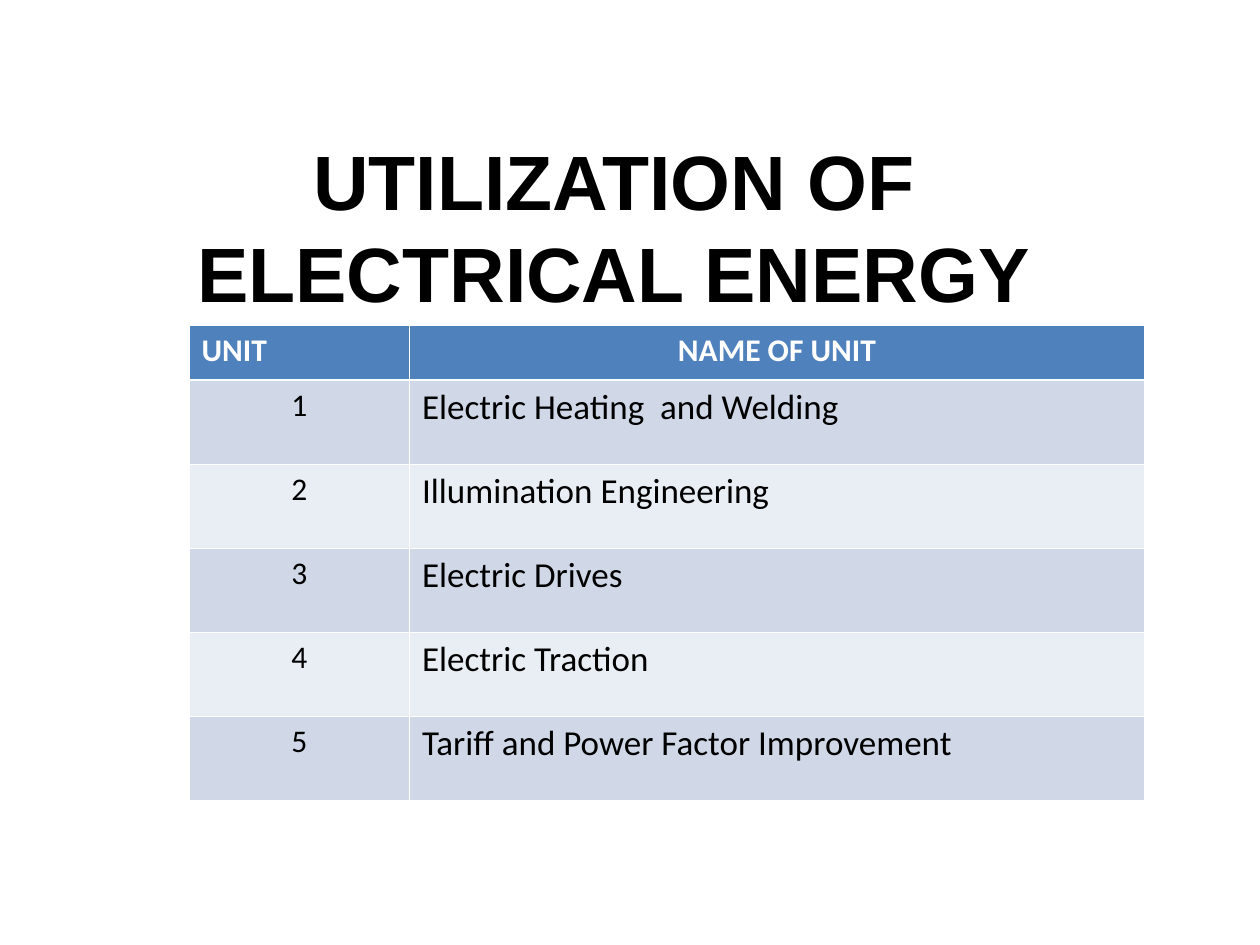
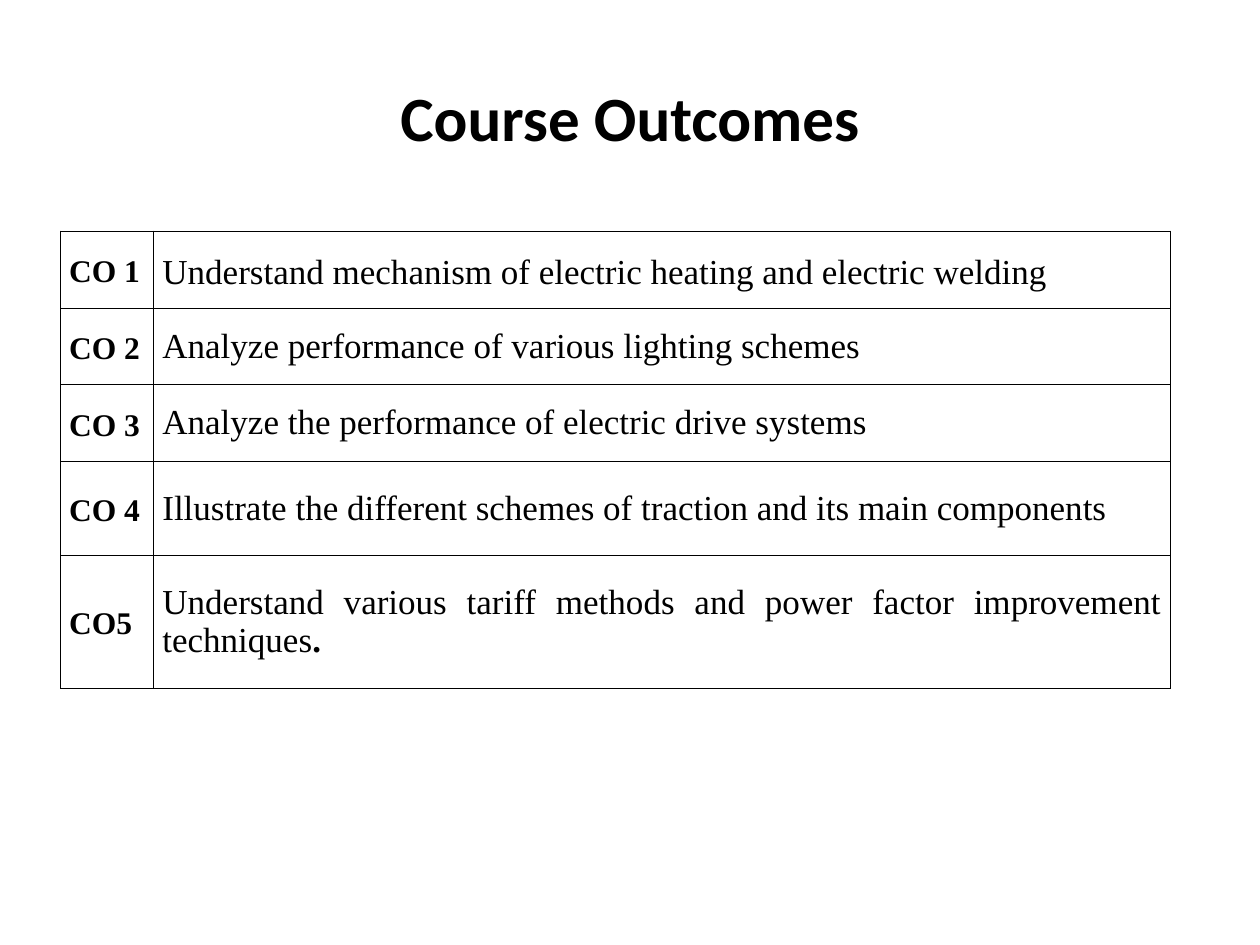
from lxml import etree
from pptx import Presentation
from pptx import util as u
from pptx.dml.color import RGBColor
from pptx.enum import text
from pptx.oxml.ns import qn

# Lengths are counted in cells of a grid of 120 columns by 90 rows.
SLIDE_WIDTH, SLIDE_HEIGHT = u.Inches(10), u.Inches(7.5)
CELL = SLIDE_WIDTH / 120

LEFT, CENTER, JUSTIFY = (text.PP_ALIGN.LEFT, text.PP_ALIGN.CENTER,
                         text.PP_ALIGN.JUSTIFY)

THEME = {
    "black": "000000", "white": "FFFFFF", "header": "4F81BD",
    "bands": ("D0D8E8", "E9EDF4"),
    "cover_title": 44, "title": 36, "label": 18, "body": 20,
    "display": "Arial", "sans": "Calibri", "serif": "Times New Roman",
    "thin": 0.45, "thick": 1.47,
}

UNIT_HEADER = ("UNIT", "NAME OF UNIT")
UNITS = [
    "Electric Heating  and Welding",
    "Illumination Engineering",
    "Electric Drives",
    "Electric Traction",
    "Tariff and Power Factor Improvement",
]
# Label, outcome, bold ending, row height in grid cells
OUTCOMES = [
    ("CO 1", "Understand mechanism of electric heating and electric welding", "", 7.32),
    ("CO 2", "Analyze performance of various lighting schemes", "", 7.32),
    ("CO 3", "Analyze the performance of electric drive systems", "", 7.32),
    ("CO 4", "Illustrate the different schemes of traction and its main components", "", 8.9),
    ("CO5", "Understand various tariff methods and power factor improvement techniques",
     ".", 12.7),
]


def grid(count):
    return u.Emu(round(count * CELL))


def apply(target, values):
    for name, value in values.items():
        setattr(target, name, value)


def write(paragraph, content, size, font, color="black", bold=False, **layout):
    """Add one run; layout holds paragraph settings such as alignment."""
    apply(paragraph, layout)
    run = paragraph.add_run()
    run.text = content
    apply(run.font, {"size": u.Pt(size), "name": THEME[font], "bold": bold})
    run.font.color.rgb = RGBColor.from_string(THEME[color])


def add_titled_slide(presentation, title, place, size, font):
    slide = presentation.slides.add_slide(presentation.slide_layouts[5])
    shape = slide.shapes.title
    apply(shape, dict(zip(("left", "top", "width", "height"), map(grid, place))))
    apply(shape.text_frame, {"word_wrap": True,
                             "auto_size": text.MSO_AUTO_SIZE.NONE,
                             "vertical_anchor": text.MSO_ANCHOR.MIDDLE})
    write(shape.text_frame.paragraphs[0], title, size, font, bold=True,
          alignment=CENTER)
    return slide


def add_plain_table(slide, left, top, columns, rows):
    table = slide.shapes.add_table(
        len(rows), len(columns), grid(left), grid(top),
        grid(sum(columns)), grid(sum(rows))).table
    apply(table, {"first_row": False, "horz_banding": False})
    for column, width in zip(table.columns, columns):
        column.width = grid(width)
    for row, height in zip(table.rows, rows):
        row.height = grid(height)
    return table


def format_cell(cell, border, fill=None, top=THEME["thin"], bottom=THEME["thin"],
                **layout):
    """Draw the four borders, then set the fill and cell layout."""
    properties = cell._tc.get_or_add_tcPr()
    widths = {"L": THEME["thin"], "R": THEME["thin"], "T": top, "B": bottom}
    for side, width in widths.items():
        line = etree.SubElement(properties, qn(f"a:ln{side}"), w=str(u.Pt(width)))
        solid = etree.SubElement(line, qn("a:solidFill"))
        etree.SubElement(solid, qn("a:srgbClr"), val=THEME[border])
    if fill:
        cell.fill.solid()
        cell.fill.fore_color.rgb = RGBColor.from_string(fill)
    else:
        cell.fill.background()
    apply(cell, layout)


def build_units(presentation):
    slide = add_titled_slide(presentation, "UTILIZATION OF ELECTRICAL ENERGY",
                             (11, 13, 95, 17), THEME["cover_title"], "display")
    table = add_plain_table(slide, 18, 31, (21, 70), [5.2] + [8] * len(UNITS))
    thick = THEME["thick"]
    for column, (name, alignment) in enumerate(zip(UNIT_HEADER, (LEFT, CENTER))):
        cell = table.cell(0, column)
        format_cell(cell, "white", THEME["header"], bottom=thick)
        write(cell.text_frame.paragraphs[0], name, THEME["label"], "sans", "white",
              bold=True, alignment=alignment)
    for number, name in enumerate(UNITS, 1):
        entries = ((str(number), THEME["label"], CENTER),
                   (name, THEME["body"], LEFT))
        for column, (content, size, alignment) in enumerate(entries):
            cell = table.cell(number, column)
            format_cell(cell, "white", THEME["bands"][(number - 1) % 2],
                        top=thick if number == 1 else THEME["thin"])
            write(cell.text_frame.paragraphs[0], content, size, "sans",
                  alignment=alignment)


def build_outcomes(presentation):
    slide = add_titled_slide(presentation, "Course Outcomes",
                             (6, 3.6, 108, 15), THEME["title"], "sans")
    table = add_plain_table(slide, 5.75, 22, (8.88, 96.84),
                            [outcome[-1] for outcome in OUTCOMES])
    for row, (label, outcome, ending, _) in enumerate(OUTCOMES):
        cells = [table.cell(row, column) for column in range(2)]
        for cell in cells:
            format_cell(cell, "black", vertical_anchor=text.MSO_ANCHOR.MIDDLE,
                        margin_left=u.Inches(0.07), margin_right=u.Inches(0.07))
        label_paragraph, paragraph = (cell.text_frame.paragraphs[0] for cell in cells)
        write(label_paragraph, label, THEME["label"], "serif", bold=True,
              alignment=JUSTIFY, line_spacing=1.15)
        write(paragraph, outcome, THEME["body"], "serif", alignment=JUSTIFY,
              line_spacing=1.15 if row == 0 else 1.0)
        if ending:
            write(paragraph, ending, THEME["body"], "serif", bold=True)


def main():
    presentation = Presentation()
    apply(presentation, {"slide_width": SLIDE_WIDTH, "slide_height": SLIDE_HEIGHT})
    build_units(presentation)
    build_outcomes(presentation)
    presentation.save("out.pptx")


if __name__ == "__main__":
    main()
